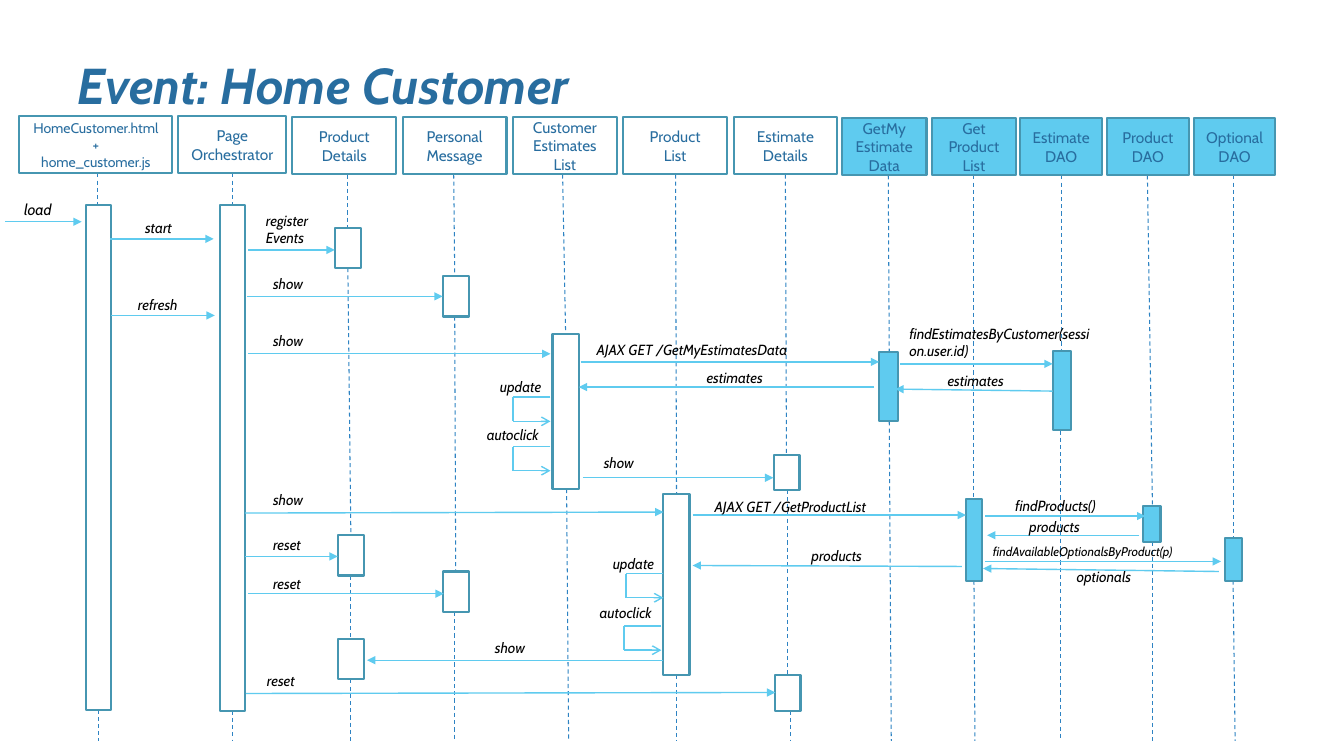
from dataclasses import dataclass

from lxml import etree
from pptx import Presentation, util as u
from pptx.dml.color import RGBColor
from pptx.enum import dml, shapes, text
from pptx.oxml.ns import qn


@dataclass(frozen=True)
class Theme:
    font: str = "Cabin"
    title: RGBColor = RGBColor.from_string("286D9F")
    label: RGBColor = RGBColor.from_string("000000")
    border: RGBColor = RGBColor.from_string("4696B1")
    accent: RGBColor = RGBColor.from_string("5FCBEF")
    lifeline: RGBColor = RGBColor.from_string("2E83C3")
    title_size: float = 36
    header_size: float = 11
    label_size: float = 10.5
    border_width: float = 1.5
    arrow_width: float = 1
    dash_width: float = 0.75


@dataclass(frozen=True)
class Band:
    left: float
    step: float
    width: float
    top: float
    filled: bool
    lifelines: tuple


@dataclass(frozen=True)
class Lifeline:
    name: str
    bar_width: float
    bars: tuple
    dashes: tuple
    size: float = Theme.header_size


THEME = Theme()
COLUMNS, ROWS = 133.3, 75
HEADER_HEIGHT, FLOOR = 5.7, 73.5
LABEL_HEIGHT, LOOP_HEIGHT, LOOP_WIDTH = 2.8, 2.4, 3.7

BANDS = (
    Band(1.9, 0, 15.2, 11.5, False, (
        Lifeline("HomeCustomer.html\n+\nhome_customer.js", 2.5, ((8.5, 20.3, 50.1),),
                 ((9.7, 9.7), (9.8, 9.8)), 10),
    )),
    Band(17.7, 0, 10.7, 11.5, False, (
        Lifeline("Page\nOrchestrator", 2.5, ((21.8, 20.3, 50.2),),
                 ((23.1, 23.1), (23.1, 23.1))),
    )),
    Band(29, 10.94, 10.3, 11.6, False, (
        Lifeline("Product\nDetails", 2.6, ((33.2, 22.6, 4), (33.5, 53.1, 4), (33.5, 63.4, 4)),
                 ((34.5, 34.5), (34.5, 34.8), (34.8, 34.8), (34.8, 34.8))),
        Lifeline("Personal\nMessage", 2.6, ((43.9, 27.4, 4), (43.9, 56.7, 4)),
                 ((45, 45.1), (45.1, 45.2), (45.1, 45.1))),
        Lifeline("Customer\nEstimates\nList", 2.6, ((54.8, 33.1, 15.4),),
                 ((55.8, 56.1), (56.2, 56.4))),
        Lifeline("Product\nList", 2.6, ((65.8, 49, 18),),
                 ((67, 67.1), (67.1, 67.1))),
        Lifeline("Estimate\nDetails", 2.5, ((76.8, 45.1, 3.5), (76.9, 67, 3.5)),
                 ((77.9, 78), (78.1, 78.1), (78.4, 78.4))),
    )),
    Band(83.5, 8.9, 8.4, 11.7, True, (
        Lifeline("GetMy\nEstimate\nData", 1.9, ((87.2, 34.9, 6.9),),
                 ((88.1, 88.2), (88.2, 88.4))),
        Lifeline("Get\nProduct\nList", 1.6, ((95.8, 49.5, 8.1),),
                 ((96.6, 96.6), (96.6, 96.7))),
    )),
    Band(101.2, 8.6, 8.1, 11.7, True, (
        Lifeline("Estimate\nDAO", 1.8, ((104.4, 34.8, 7.9),),
                 ((105.3, 105.3), (105.2, 105.2))),
        Lifeline("Product\nDAO", 1.7, ((113.4, 50.2, 3.6),),
                 ((113.8, 114.3), (114.3, 114.3))),
        Lifeline("Optional\nDAO", 1.7, ((121.5, 53.4, 4.2),),
                 ((122.3, 122.3), (122.3, 122.5))),
    )),
)

ARROWS = (
    (0.5, 22, 8.1, 22), (10.9, 23.7, 21.2, 23.7), (11, 31.3, 21.3, 31.3),
    (24.6, 24.8, 33.2, 24.8), (24.5, 29.4, 43.9, 29.4), (24.6, 35.1, 54.6, 35.1),
    (24.3, 50.9, 65.8, 50.8), (24.3, 55.2, 33.5, 55.2), (24.6, 58.9, 44, 58.9),
    (24.4, 68.8, 76.9, 68.7), (65.8, 65.5, 36.4, 65.5), (57.8, 47.4, 76.7, 47.4),
    (57.6, 35.9, 87.2, 35.9), (86.7, 38.4, 57.4, 38.4), (89.3, 36.1, 104.4, 36.1),
    (104.4, 38.8, 88.8, 38.6), (68.7, 51.1, 95.8, 51.1), (95.4, 56.2, 68.7, 56.1),
    (97.7, 51.2, 113.6, 51.2), (113, 53.1, 97.9, 53.1), (97.7, 55.7, 121.1, 55.7),
    (120.9, 56.7, 97.5, 56.4),
)

LOOPS = ((50.9, 39.4), (50.9, 44.3), (62.1, 56.9), (61.9, 62.1))

LABELS = (
    ("load", 1.4, 19.4, 5.3, 11),
    ("start", 13.4, 21.2, 5.5),
    ("refresh", 12.7, 28.9, 6.8),
    ("register\nEvents", 25.4, 20.5, 7.4),
    ("show", 26.1, 26.8, 7.4),
    ("show", 26.1, 32.4, 7.4),
    ("show", 26.1, 48.2, 7.4),
    ("reset", 26.1, 52.7, 7.4),
    ("reset", 26.1, 56.5, 7.4),
    ("reset", 25.5, 66.2, 7.4),
    ("show", 48.1, 62.9, 7.4),
    ("show", 58.9, 44.5, 7.4),
    ("update", 48.6, 37, 7.4),
    ("autoclick", 47.3, 41.8, 8.7),
    ("update", 59.8, 54.5, 7.4),
    ("autoclick", 58.5, 59.4, 8.7),
    ("AJAX GET /GetMyEstimatesData", 58.2, 33.3, 23.7),
    ("estimates", 69.1, 36.1, 9.3),
    ("findEstimatesByCustomer(session.user.id)", 89.2, 31.7, 19.9),
    ("estimates", 93, 36.4, 9.3),
    ("AJAX GET /GetProductList", 69.9, 48.9, 23.7),
    ("products", 79.5, 53.8, 9.3),
    ("findProducts()", 99.7, 48.8, 12.6),
    ("products", 101.1, 50.9, 9.3),
    ("findAvailableOptionalsByProduct(p)", 97.5, 53.5, 23.4, 9),
    ("optionals", 105.8, 55.8, 9.3),
)


def cells(*counts):
    return [u.Inches(count / 10) for count in counts]


def write(shape, words, size, color, align=text.PP_ALIGN.LEFT, bold=False, italic=False):
    frame = shape.text_frame
    frame.word_wrap = True
    frame.text = words
    for para in frame.paragraphs:
        para.alignment = align
        para.font.name = THEME.font
        para.font.size = u.Pt(size)
        para.font.color.rgb = color
        para.font.bold = bold
        para.font.italic = italic
    return frame


def add_box(page, left, top, width, height, filled):
    box = page.shapes.add_shape(shapes.MSO_SHAPE.RECTANGLE, *cells(left, top, width, height))
    box.shadow.inherit = False
    if filled:
        box.fill.solid()
        box.fill.fore_color.rgb = THEME.accent
    else:
        box.fill.background()
    box.line.color.rgb = THEME.border
    box.line.width = u.Pt(THEME.border_width)
    return box


def add_line(page, ends, color, width, head=None, dashed=False):
    line = page.shapes.add_connector(shapes.MSO_CONNECTOR.STRAIGHT, *cells(*ends))
    line.line.color.rgb = color
    line.line.width = u.Pt(width)
    if dashed:
        line.line.dash_style = dml.MSO_LINE.DASH
    if head:
        etree.SubElement(line.line._get_or_add_ln(), qn("a:tailEnd"), type=head)
    etree.SubElement(line._element.spPr, qn("a:effectLst"))


def add_lifeline(page, band, index, lifeline):
    starts = [band.top + HEADER_HEIGHT] + [top + height for _, top, height in lifeline.bars]
    stops = [top for _, top, _ in lifeline.bars] + [FLOOR]
    for (upper, lower), start, stop in zip(lifeline.dashes, starts, stops):
        add_line(page, (upper, start, lower, stop), THEME.lifeline, THEME.dash_width, dashed=True)
    for left, top, height in lifeline.bars:
        add_box(page, left, top, lifeline.bar_width, height, band.filled)
    header = add_box(page, band.left + index * band.step, band.top, band.width,
                     HEADER_HEIGHT, band.filled)
    frame = write(header, lifeline.name, lifeline.size, THEME.title, text.PP_ALIGN.CENTER)
    frame.vertical_anchor = text.MSO_ANCHOR.MIDDLE


def add_loop(page, left, top):
    right, bottom = left + LOOP_WIDTH, top + LOOP_HEIGHT
    corners = ((right, top), (left, top), (left, bottom), (right, bottom))
    for start, stop, head in zip(corners, corners[1:], (None, None, "arrow")):
        add_line(page, start + stop, THEME.accent, THEME.arrow_width, head)


def add_label(page, words, left, top, width, size=THEME.label_size):
    box = page.shapes.add_textbox(*cells(left, top, width, LABEL_HEIGHT))
    frame = write(box, words, size, THEME.label, italic=True)
    frame.auto_size = text.MSO_AUTO_SIZE.SHAPE_TO_FIT_TEXT


def add_title(page, words):
    box = page.shapes.add_textbox(*cells(6.7, 4.5, 94, 7.4))
    frame = write(box, words, THEME.title_size, THEME.title, bold=True, italic=True)
    frame.vertical_anchor = text.MSO_ANCHOR.BOTTOM


def main():
    deck = Presentation()
    deck.slide_width, deck.slide_height = cells(COLUMNS, ROWS)
    page = deck.slides.add_slide(deck.slide_layouts[6])
    add_title(page, "Event: Home Customer")
    for band in BANDS:
        for index, lifeline in enumerate(band.lifelines):
            add_lifeline(page, band, index, lifeline)
    for ends in ARROWS:
        add_line(page, ends, THEME.accent, THEME.arrow_width, "triangle")
    for corner in LOOPS:
        add_loop(page, *corner)
    for label in LABELS:
        add_label(page, *label)
    deck.save("out.pptx")


main()
